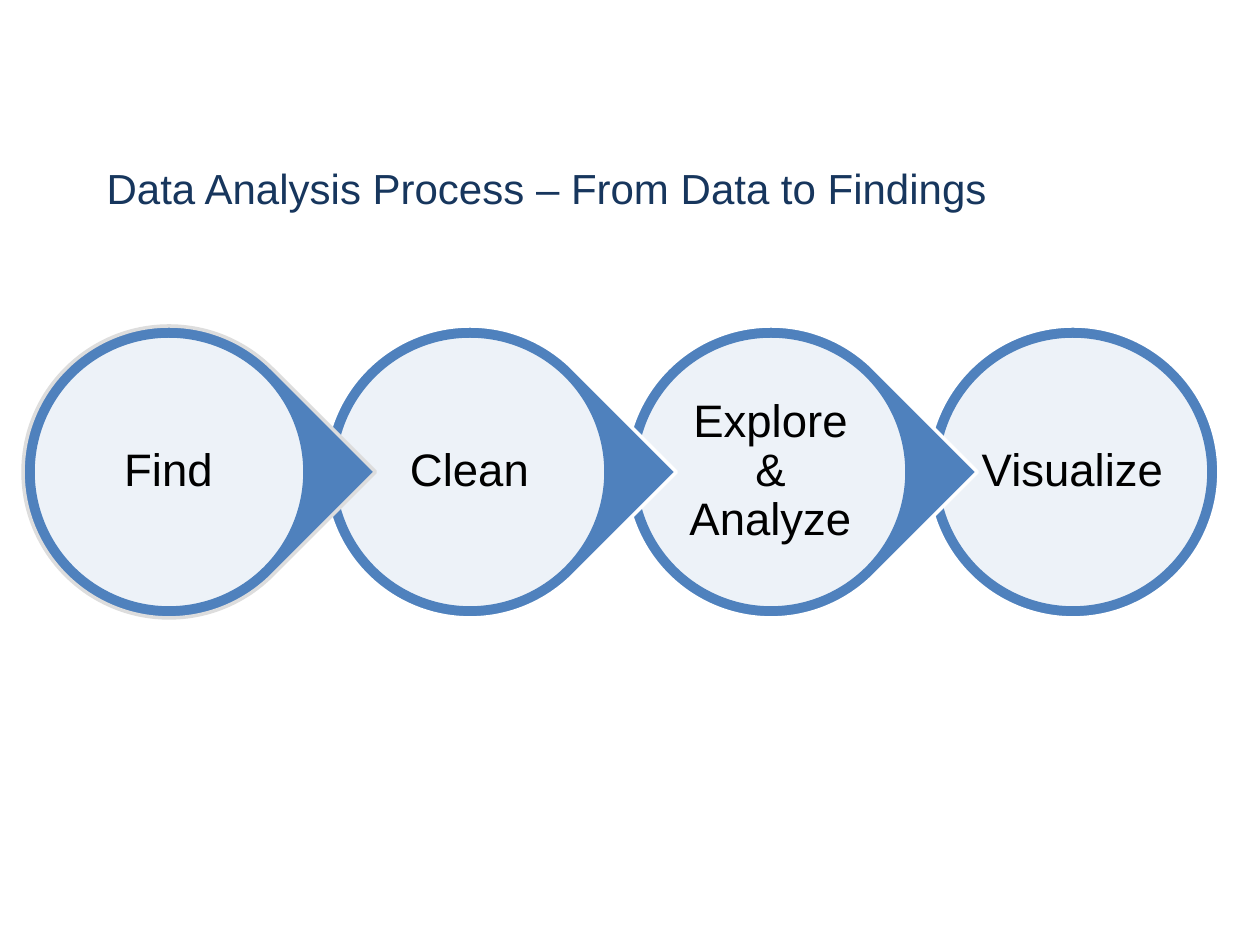
"""Build a slide showing the data analysis process as four linked circles."""
from dataclasses import dataclass

from lxml.etree import SubElement
from pptx import Presentation
from pptx.dml.color import RGBColor
from pptx.enum.shapes import MSO_SHAPE
from pptx.enum.text import MSO_ANCHOR, PP_ALIGN
from pptx.oxml.ns import qn
from pptx.util import Emu, Pt

TITLE = "Data Analysis Process – From Data to Findings"
STEPS = ["Find", "Clean", "Explore & Analyze", "Visualize"]

PX = 914400 // 126
SLIDE_SIZE = (1260, 945)
TITLE_BOX = (94, 156, 1085, 226)
FIRST_LEFT, LAST_LEFT, TOP = 23, 927, 326
RING, DISC, LABEL = 292, 272, 195
LABEL_INSET = 5


@dataclass(frozen=True)
class Theme:
    font: str = "Arial"
    title_size: int = 24
    label_size: int = 26
    line_width: int = 2
    disc_opacity: int = 90
    title: RGBColor = RGBColor(0x17, 0x36, 0x5D)
    label: RGBColor = RGBColor(0, 0, 0)
    ring: RGBColor = RGBColor(0x4F, 0x81, 0xBD)
    disc: RGBColor = RGBColor(0xFF, 0xFF, 0xFF)
    edge: RGBColor = RGBColor(0xFF, 0xFF, 0xFF)
    first_edge: RGBColor = RGBColor(0xDD, 0xDD, 0xDD)


THEME = Theme()


def px(*lengths):
    return [Emu(length * PX) for length in lengths]


def centred(left, size):
    margin = (RING - size) // 2
    return px(left + margin, TOP + margin, size, size)


def style_text(para, size, color, align):
    para.alignment = align
    para.font.name = THEME.font
    para.font.size = Pt(size)
    para.font.color.rgb = color


def add_title(slide):
    title = slide.shapes.title
    title.left, title.top, title.width, title.height = px(*TITLE_BOX)
    frame = title.text_frame
    frame.text = TITLE
    frame.vertical_anchor = MSO_ANCHOR.TOP
    style_text(frame.paragraphs[0], THEME.title_size, THEME.title, PP_ALIGN.LEFT)


def add_round(slide, kind, place, fill, line):
    shape = slide.shapes.add_shape(kind, *place)
    shape.shadow.inherit = False
    shape.fill.solid()
    shape.fill.fore_color.rgb = fill
    shape.line.color.rgb = line
    shape.line.width = Pt(THEME.line_width)
    return shape


def add_label(slide, left, text):
    frame = slide.shapes.add_textbox(*centred(left, LABEL)).text_frame
    frame.word_wrap = True
    frame.vertical_anchor = MSO_ANCHOR.MIDDLE
    inset, = px(LABEL_INSET)
    frame.margin_left = frame.margin_right = inset
    frame.margin_top = frame.margin_bottom = inset
    frame.text = text
    para = frame.paragraphs[0]
    para.line_spacing = 0.9
    style_text(para, THEME.label_size, THEME.label, PP_ALIGN.CENTER)


def add_step(slide, index):
    last = len(STEPS) - 1
    left = FIRST_LEFT + (LAST_LEFT - FIRST_LEFT) * index // last
    kind = MSO_SHAPE.OVAL if index == last else MSO_SHAPE.TEAR
    edge = THEME.first_edge if index == 0 else THEME.edge
    ring = add_round(slide, kind, centred(left, RING), THEME.ring, edge)
    ring.rotation = 0 if index == last else 45
    disc = add_round(slide, MSO_SHAPE.OVAL, centred(left, DISC), THEME.disc, THEME.ring)
    color = disc.fill._xPr.find(qn("a:solidFill")).find(qn("a:srgbClr"))
    SubElement(color, qn("a:alpha"), val=str(THEME.disc_opacity * 1000))
    add_label(slide, left, STEPS[index])


def main():
    deck = Presentation()
    deck.slide_width, deck.slide_height = px(*SLIDE_SIZE)
    slide = deck.slides.add_slide(deck.slide_layouts[5])
    add_title(slide)
    for index in reversed(range(len(STEPS))):
        add_step(slide, index)
    deck.save("out.pptx")


if __name__ == "__main__":
    main()
